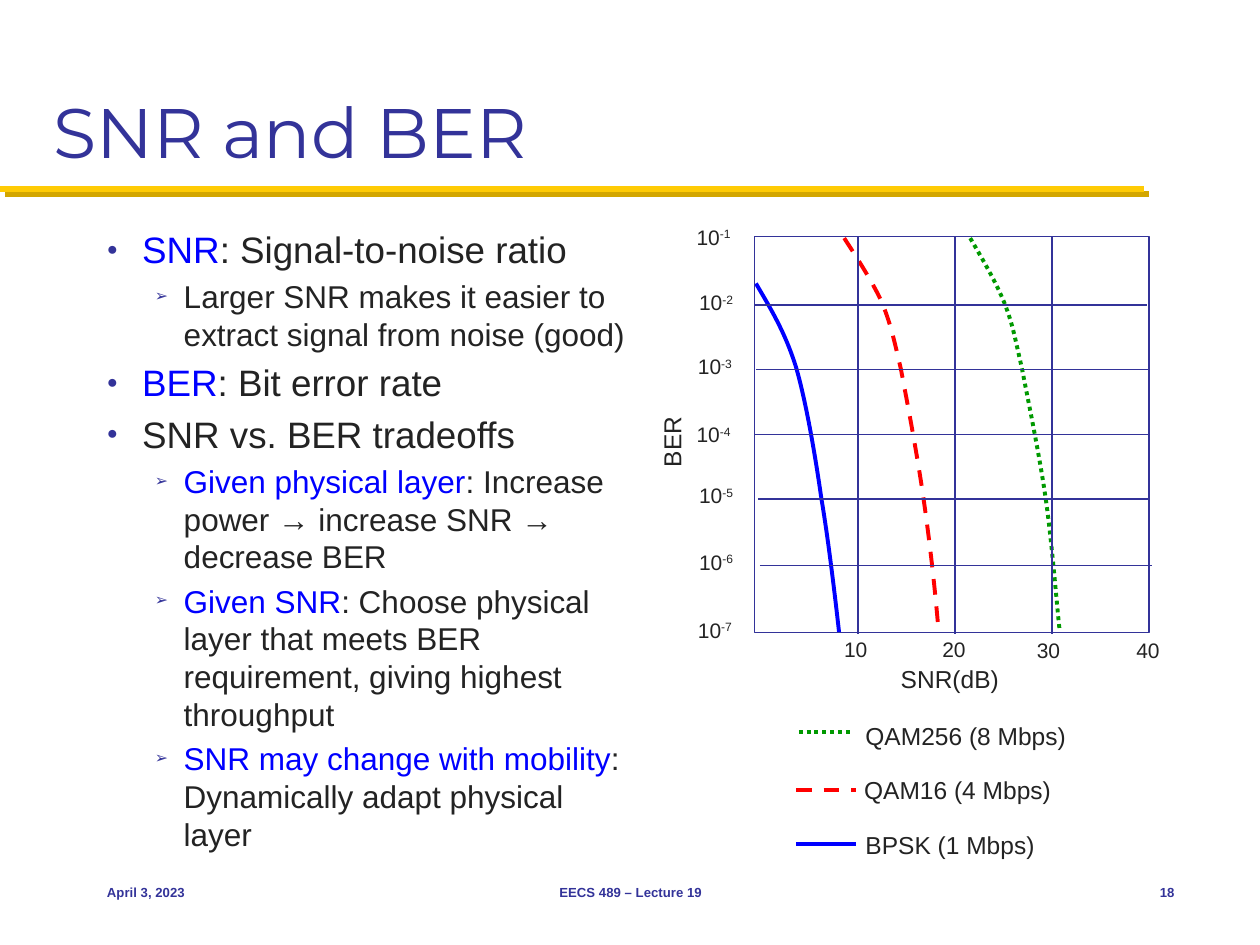
from lxml import etree
from pptx import Presentation
from pptx.dml.color import RGBColor
from pptx.enum.dml import MSO_LINE
from pptx.enum.shapes import MSO_CONNECTOR, MSO_SHAPE
from pptx.enum.text import MSO_ANCHOR, PP_ALIGN
from pptx.oxml.ns import qn
from pptx.util import Inches, Pt

NAVY = RGBColor(0x33, 0x33, 0x99)
INK = RGBColor(0x23, 0x23, 0x23)
BLUE = RGBColor(0x00, 0x00, 0xFF)
RED = RGBColor(0xFF, 0x00, 0x00)
GREEN = RGBColor(0x00, 0x99, 0x00)
GOLD = RGBColor(0xFF, 0xCB, 0x05)
SHADE = RGBColor(0xD3, 0xA6, 0x00)

STRAIGHT = MSO_CONNECTOR.STRAIGHT
RECT = MSO_SHAPE.RECTANGLE
DASH, DOT = MSO_LINE.DASH, MSO_LINE.ROUND_DOT
TOP, MIDDLE, BOTTOM = MSO_ANCHOR.TOP, MSO_ANCHOR.MIDDLE, MSO_ANCHOR.BOTTOM
LEFT, CENTER, RIGHT = PP_ALIGN.LEFT, PP_ALIGN.CENTER, PP_ALIGN.RIGHT

# Level, highlighted words, remaining words
POINTS = [
    (0, "SNR", ": Signal-to-noise ratio"),
    (1, "", "Larger SNR makes it easier to extract signal from noise (good)"),
    (0, "BER", ": Bit error rate"),
    (0, "", "SNR vs. BER tradeoffs"),
    (1, "Given physical layer", ": Increase power → increase SNR → decrease BER"),
    (1, "Given SNR", ": Choose physical layer that meets BER requirement, "
                     "giving highest throughput"),
    (1, "SNR may change with mobility", ": Dynamically adapt physical layer"),
]
# Per level: text size, left margin, hanging indent, bullet
LEVELS = [(21, 0.28, 0.28, "●"), (18, 0.61, 0.23, "➢")]

# Bezier points: a start, then two controls and an end for each piece
CURVES = [
    (BLUE, None, [(6, 2.25), (6.11, 2.44), (6.23, 2.63), (6.32, 2.92),
                  (6.4, 3.2), (6.47, 3.61), (6.52, 3.96),
                  (6.58, 4.31), (6.64, 4.84), (6.66, 5.02)]),
    (RED, DASH, [(6.7, 1.89), (6.81, 2.06), (6.92, 2.23), (7, 2.4),
                 (7.07, 2.58), (7.09, 2.67), (7.15, 2.93),
                 (7.2, 3.19), (7.28, 3.61), (7.33, 3.96),
                 (7.38, 4.31), (7.42, 4.66), (7.45, 5.02)]),
    (GREEN, DOT, [(7.7, 1.89), (7.8, 2.06), (7.9, 2.23), (7.97, 2.4),
                  (8.04, 2.58), (8.05, 2.66), (8.11, 2.92),
                  (8.16, 3.18), (8.25, 3.61), (8.3, 3.96),
                  (8.35, 4.31), (8.39, 4.83), (8.41, 5)]),
]
# Text, text left, top and width, sample left, right and height, colour, dash
KEYS = [
    ("QAM256 (8 Mbps)", 6.77, 5.67, 1.84, 6.34, 6.77, 5.81, GREEN, DOT),
    ("QAM16 (4 Mbps)", 6.76, 6.1, 1.73, 6.32, 6.79, 6.27, RED, DASH),
    ("BPSK (1 Mbps)", 6.77, 6.54, 1.61, 6.32, 6.79, 6.7, BLUE, None),
]
ROWS = [2.42, 2.93, 3.45, 3.96, 4.49]
COLS = [6.81, 7.58, 8.35]
TICKS_X = [(6.6, 5), (7.38, 5), (8.13, 5.01), (8.92, 5.01)]
TICKS_Y = [(5.43, 1.73), (5.45, 2.25), (5.44, 2.76), (5.43, 3.3),
           (5.45, 3.78), (5.45, 4.31), (5.44, 4.85)]


def pen(line, color, width, dash=None):
    line.color.rgb = color
    line.width = Pt(width)
    if dash is not None:
        line.dash_style = dash


def add_line(slide, x1, y1, x2, y2, color, width, dash=None):
    line = slide.shapes.add_connector(
        STRAIGHT, Inches(x1), Inches(y1), Inches(x2), Inches(y2))
    pen(line.line, color, width, dash)
    etree.SubElement(line._element.spPr, qn("a:effectLst"))
    return line


def add_text(slide, text, x, y, w, h, size, color=INK, font="Arial",
             bold=False, align=LEFT, anchor=TOP, wrap=False):
    box = slide.shapes.add_textbox(Inches(x), Inches(y), Inches(w), Inches(h))
    frame = box.text_frame
    frame.word_wrap = wrap
    frame.vertical_anchor = anchor
    para = frame.paragraphs[0]
    para.alignment = align
    style(para, size, color, font, bold)
    para.add_run().text = text
    return box


def style(para, size, color=INK, font="Arial", bold=False):
    para.font.size = Pt(size)
    para.font.name = font
    para.font.bold = bold
    para.font.color.rgb = color


def add_bullet(para, left, hang, mark):
    props = para._p.get_or_add_pPr()
    props.set("marL", str(Inches(left)))
    props.set("indent", str(-Inches(hang)))
    tint = etree.SubElement(props, qn("a:buClr"))
    etree.SubElement(tint, qn("a:srgbClr"), val=str(NAVY))
    etree.SubElement(props, qn("a:buSzPct"), val="50000")
    etree.SubElement(props, qn("a:buFont"), typeface="Arial")
    etree.SubElement(props, qn("a:buChar"), char=mark)


def add_points(slide):
    box = slide.shapes.add_textbox(
        Inches(0.75), Inches(1.75), Inches(4.35), Inches(4.83))
    frame = box.text_frame
    frame.word_wrap = True
    for i, (level, lead, rest) in enumerate(POINTS):
        para = frame.add_paragraph() if i else frame.paragraphs[0]
        size, left, hang, mark = LEVELS[level]
        para.level = level
        if i:
            para.space_before = Pt(size * 0.2)
        add_bullet(para, left, hang, mark)
        style(para, size)
        if lead:
            run = para.add_run()
            run.text = lead
            run.font.color.rgb = BLUE
        para.add_run().text = rest


def add_curve(slide, color, dash, points):
    spots = [(Inches(x), Inches(y)) for x, y in points]
    build = slide.shapes.build_freeform(*spots[0])
    build.add_line_segments(spots[1:], close=False)
    curve = build.convert_to_shape()
    # Turn each three straight steps into one cubic piece
    steps = list(curve._element.iter(qn("a:lnTo")))
    for i in range(0, len(steps), 3):
        piece = etree.Element(qn("a:cubicBezTo"))
        steps[i].addprevious(piece)
        for step in steps[i:i + 3]:
            piece.append(step[0])
            step.getparent().remove(step)
    curve.shadow.inherit = False
    curve.fill.background()
    pen(curve.line, color, 2.25, dash)


def add_plot(slide):
    for curve in CURVES:
        add_curve(slide, *curve)

    # Frame and grid
    frame = slide.shapes.add_shape(
        RECT, Inches(5.99), Inches(1.88), Inches(3.13), Inches(3.14))
    frame.shadow.inherit = False
    frame.fill.background()
    pen(frame.line, NAVY, 0.75)
    for i, y in enumerate(ROWS):
        x = 5.99 + 0.01 * i
        line = add_line(slide, x, y, x + 3.11, y, NAVY, 0.75)
        if i == len(ROWS) // 2:
            line.begin_connect(frame, 1)
            line.end_connect(frame, 3)
    for x in COLS:
        add_line(slide, x, 1.88, x, 5.03, NAVY, 0.75)

    # Axis labels
    for i, (x, y) in enumerate(TICKS_X, 1):
        add_text(slide, str(10 * i), x, y, 0.39, 0.3, 12)
    for i, (x, y) in enumerate(TICKS_Y, 1):
        box = add_text(slide, "10", x, y, 0.48, 0.3, 12)
        run = box.text_frame.paragraphs[0].add_run()
        run.text = f"-{i}"
        run._r.get_or_add_rPr().set("baseline", "30000")
    add_text(slide, "SNR(dB)", 7.05, 5.22, 1.01, 0.34, 14)
    add_text(slide, "BER", 5.03, 3.33, 0.61, 0.34, 14).rotation = 270


def add_keys(slide):
    for text, x, y, w, x1, x2, mid, color, dash in KEYS:
        add_line(slide, x1, mid, x2, mid, color, 2.25, dash)
        add_text(slide, text, x, y, w, 0.34, 14)


def add_rule(slide):
    rule = add_line(slide, 0, 1.5, 9.08, 1.5, GOLD, 3.5)
    effect = rule._element.spPr.find(qn("a:effectLst"))
    shadow = etree.SubElement(effect, qn("a:outerShdw"), blurRad="0",
                              dist=str(Pt(4.2)), dir="2700000", algn="ctr")
    etree.SubElement(shadow, qn("a:srgbClr"), val=str(SHADE))


def main():
    deck = Presentation()
    deck.slide_width, deck.slide_height = Inches(10), Inches(7.5)
    slide = deck.slides.add_slide(deck.slide_layouts[6])

    # Heading and body
    add_rule(slide)
    add_text(slide, "SNR and BER", 0.33, 0.17, 9.33, 1.25, 40, NAVY,
             "Montserrat", anchor=BOTTOM, wrap=True)
    add_points(slide)

    # Error rate plot and its legend
    add_plot(slide)
    add_keys(slide)

    # Footer
    for text, x, w, align in (("April 3, 2023", 0.75, 2.08, LEFT),
                              ("EECS 489 – Lecture 19", 3.42, 3.17, CENTER),
                              ("18", 8.75, 0.67, RIGHT)):
        add_text(slide, text, x, 6.83, w, 0.5, 7.5, NAVY, bold=True,
                 align=align, anchor=MIDDLE, wrap=True)
    deck.save("out.pptx")


if __name__ == "__main__":
    main()
